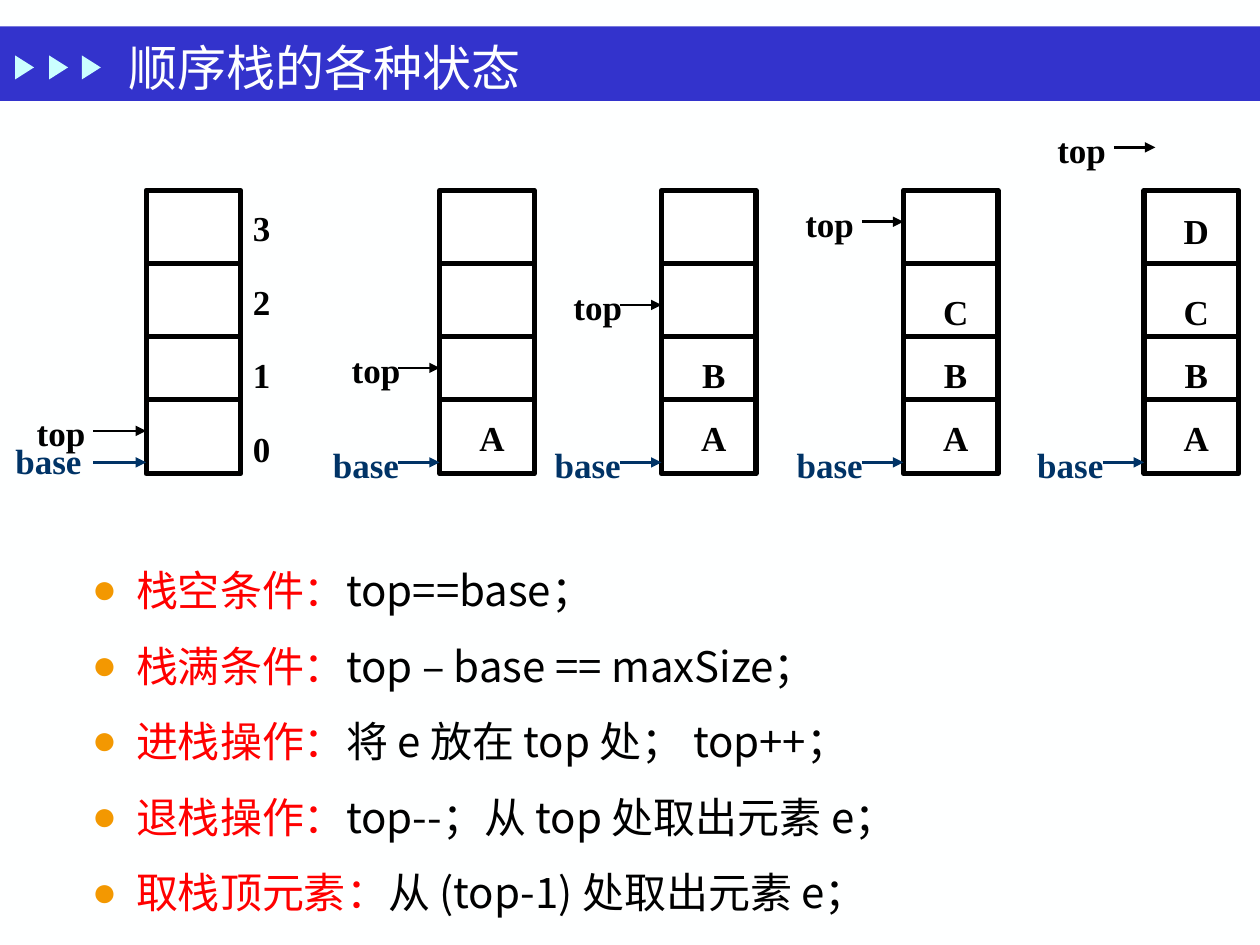
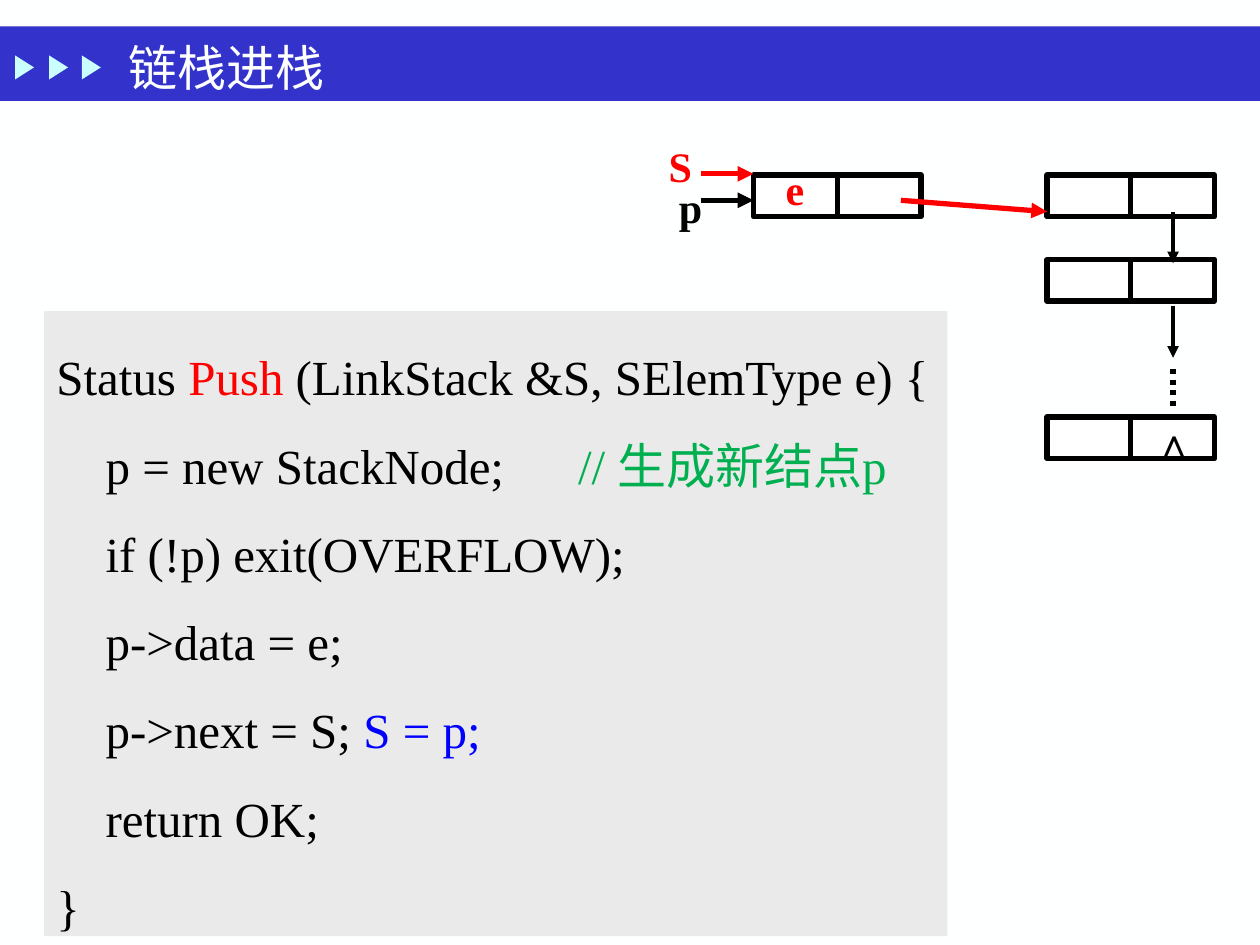
from lxml import etree
from pptx import Presentation
from pptx import util as u
from pptx.dml.color import RGBColor
from pptx.enum import dml, shapes, text
from pptx.oxml.ns import qn

COLORS = {
    "page": "FEFFFF", "band": "3333CC", "marker": "CBFFFF", "ink": "000000",
    "base": "003366", "red": "FF0000", "bullet": "F39801", "panel": "EAEAEA",
    "cell": "FFFFFF", "comment": "00B050", "blue": "0000FF",
}
SERIF, SANS = "Times New Roman", "Noto Sans CJK SC"
CENTER, LEFT = text.PP_ALIGN.CENTER, text.PP_ALIGN.LEFT
STACK_TOP, STACK_WIDTH, STACK_HEIGHT = 1.51, 0.75, 2.25
DIVIDERS = (2.09, 2.67, 3.17)
ELEMENT_TOPS = (3.26, 2.76, 2.26, 1.61)
NODE_WIDTH, NODE_HEIGHT = 1.33, 0.33


def rgb(name):
    return RGBColor.from_string(COLORS[name])


def box(at):
    return [u.Inches(value) for value in at]


def add_xml(parent, tag, **attributes):
    return etree.SubElement(parent, qn(tag), attributes)


def write(frame, paragraphs, size=20, color="ink", font=SERIF, bold=False,
          align=LEFT, spacing=None, before=None, bullet_indent=None, tabs=()):
    frame.word_wrap = True
    for number, runs in enumerate(paragraphs):
        paragraph = frame.add_paragraph() if number else frame.paragraphs[0]
        paragraph.alignment = align
        paragraph.line_spacing = spacing
        paragraph.space_before = before
        properties = paragraph._p.get_or_add_pPr()
        if bullet_indent:
            properties.set("marL", str(u.Inches(bullet_indent)))
            properties.set("indent", str(-u.Inches(bullet_indent)))
            bullet_color = add_xml(properties, "a:buClr")
            add_xml(bullet_color, "a:srgbClr", val=COLORS["bullet"])
            add_xml(properties, "a:buFont", typeface=SERIF)
            add_xml(properties, "a:buChar", char="●")
        if tabs:
            stops = add_xml(properties, "a:tabLst")
            for stop in tabs:
                add_xml(stops, "a:tab", pos=str(u.Inches(stop)), algn="l")
        for words, run_color in runs:
            run = paragraph.add_run()
            run.text = words
            run.font.size = u.Pt(size)
            run.font.bold = bold
            run.font.name = font
            run.font.color.rgb = rgb(run_color or color)
            add_xml(run._r.get_or_add_rPr(), "a:ea", typeface=SANS)


def add_label(slide, words, at, **style):
    style = {"bold": True, "align": CENTER, "before": u.Pt(2), **style}
    label = slide.shapes.add_textbox(*box(at))
    write(label.text_frame, [[(words, None)]], **style)


def add_block(slide, at, fill, outline=None, kind=shapes.MSO_SHAPE.RECTANGLE):
    block = slide.shapes.add_shape(kind, *box(at))
    block.shadow.inherit = False
    block.fill.solid()
    block.fill.fore_color.rgb = rgb(fill)
    if outline:
        block.line.color.rgb = rgb("ink")
        block.line.width = u.Pt(outline)
    else:
        block.line.fill.background()
    return block


def add_line(slide, start, end, color="ink", width=3, arrow=False, dash=None):
    line = slide.shapes.add_connector(shapes.MSO_CONNECTOR.STRAIGHT, *box(start + end))
    line.line.color.rgb = rgb(color)
    line.line.width = u.Pt(width)
    if dash:
        line.line.dash_style = dash
    if arrow:
        add_xml(line.line._get_or_add_ln(), "a:tailEnd", type="triangle")
    add_xml(line._element.spPr, "a:effectLst")


def add_titled_slide(deck, heading):
    slide = deck.slides.add_slide(deck.slide_layouts[5])
    slide.background.fill.solid()
    slide.background.fill.fore_color.rgb = rgb("page")
    add_block(slide, (0, 0.21, 10, 0.59), "band")
    for left in (0.1, 0.37, 0.63):
        marker = add_block(slide, (left, 0.46, 0.19, 0.15), "marker",
                           kind=shapes.MSO_SHAPE.ISOSCELES_TRIANGLE)
        marker.rotation = 90
    title = slide.shapes.title
    title.left, title.top, title.width, title.height = box((0.92, 0.28, 7, 0.5))
    title.text_frame.vertical_anchor = text.MSO_ANCHOR.MIDDLE
    write(title.text_frame, [[(heading, None)]], size=28, color="page")
    slide.shapes._spTree.append(title._element)
    return slide


def add_pointer(slide, name, label_left, label_top, tip, color="ink", length=0.33):
    add_line(slide, (tip[0] - length, tip[1]), tip, color, 1.5, arrow=True)
    add_label(slide, name, (label_left, label_top, 1.33, 0.43), color=color)


def add_stack(slide, left, elements):
    add_block(slide, (left, STACK_TOP, STACK_WIDTH, STACK_HEIGHT), "cell", 3)
    for y in DIVIDERS:
        add_line(slide, (left, y), (left + STACK_WIDTH, y))
    for element, top in zip(elements, ELEMENT_TOPS):
        add_label(slide, element, (left + 0.08, top, 0.67, 0.43))


def add_node(slide, left, top):
    add_block(slide, (left, top, NODE_WIDTH, NODE_HEIGHT), "cell", 3)
    middle = left + NODE_WIDTH / 2
    add_line(slide, (middle, top), (middle, top + NODE_HEIGHT))


def build_stack_states(deck):
    slide = add_titled_slide(deck, "顺序栈的各种状态")

    add_stack(slide, 1.16, "")
    add_pointer(slide, "base", -0.28, 3.44, (1.16, 3.67), "base", 0.42)
    add_pointer(slide, "top", -0.18, 3.22, (1.16, 3.42), length=0.42)
    for index in range(4):
        add_label(slide, str(index), (1.91, 3.34 - index * 0.583, 0.33, 0.43), align=LEFT)

    states = [
        (3.49, "A", 2.32, (3.49, 2.92)),
        (5.25, "AB", 4.08, (5.25, 2.42)),
        (7.17, "ABC", 5.92, (7.17, 1.76)),
        (9.08, "ABCD", 7.92, (9.17, 1.17)),
    ]
    for left, elements, top_label_left, top_tip in states:
        add_stack(slide, left, elements)
        add_pointer(slide, "base", left - 1.25, 3.47, (left, 3.67), "base")
        add_pointer(slide, "top", top_label_left, top_tip[1] - 0.2, top_tip)

    rules = [
        ("栈空条件：", "top==base；"),
        ("栈满条件：", "top – base == maxSize；"),
        ("进栈操作：", "将 e 放在 top 处； top++；"),
        ("退栈操作：", "top--；从 top 处取出元素 e；"),
        ("取栈顶元素：", "从 (top-1) 处取出元素 e；"),
    ]
    summary = slide.shapes.add_textbox(*box((0.53, 4.16, 8.94, 3.2))).text_frame
    summary.margin_left = u.Inches(0.2)
    summary.margin_top = summary.margin_bottom = u.Inches(0.12)
    write(summary, [[(name, "red"), (rule, None)] for name, rule in rules],
          size=24, font=SANS, spacing=1.5, bullet_indent=0.35)


def build_linked_push(deck):
    slide = add_titled_slide(deck, "链栈进栈")

    for left, top in ((5.98, 1.39), (8.31, 1.39), (8.31, 2.06), (8.31, 3.31)):
        add_node(slide, left, top)
    add_line(slide, (5.56, 1.59), (5.98, 1.59), arrow=True)
    for y in (1.68, 2.43):
        add_line(slide, (9.31, y), (9.31, y + 0.41), width=2.25, arrow=True)
    add_line(slide, (9.31, 2.93), (9.31, 3.26), dash=dml.MSO_LINE.ROUND_DOT)
    add_line(slide, (7.15, 1.59), (8.31, 1.68), "red", arrow=True)
    add_line(slide, (5.56, 1.38), (5.98, 1.38), "red", arrow=True)
    for words, left, top, color in (("p", 5.23, 1.39, "ink"), ("∧", 9.06, 3.26, "ink"),
                                    ("e", 6.06, 1.25, "red"), ("S", 5.15, 1.07, "red")):
        add_label(slide, words, (left, top, 0.5, 0.5), size=24, color=color)

    code = [
        [("Status ", None), ("Push ", "red"), ("(LinkStack &S, SElemType e) {", None)],
        [("\tp = new StackNode;\t", None), ("// 生成新结点p", "comment")],
        [("\tif (!p) exit(OVERFLOW);", None)],
        [("\tp->data = e;", None)],
        [("\tp->next = S; ", None), ("S = p;", "blue")],
        [("\treturn OK;", None)],
        [("}", None)],
    ]
    listing = add_block(slide, (0.35, 2.47, 7.17, 4.96), "panel").text_frame
    listing.vertical_anchor = text.MSO_ANCHOR.TOP
    write(listing, code, size=28, spacing=1.5, tabs=(0.39, 4.14))


def main():
    deck = Presentation()
    deck.slide_width, deck.slide_height = u.Inches(10), u.Inches(7.5)
    build_stack_states(deck)
    build_linked_push(deck)
    deck.save("out.pptx")


if __name__ == "__main__":
    main()
